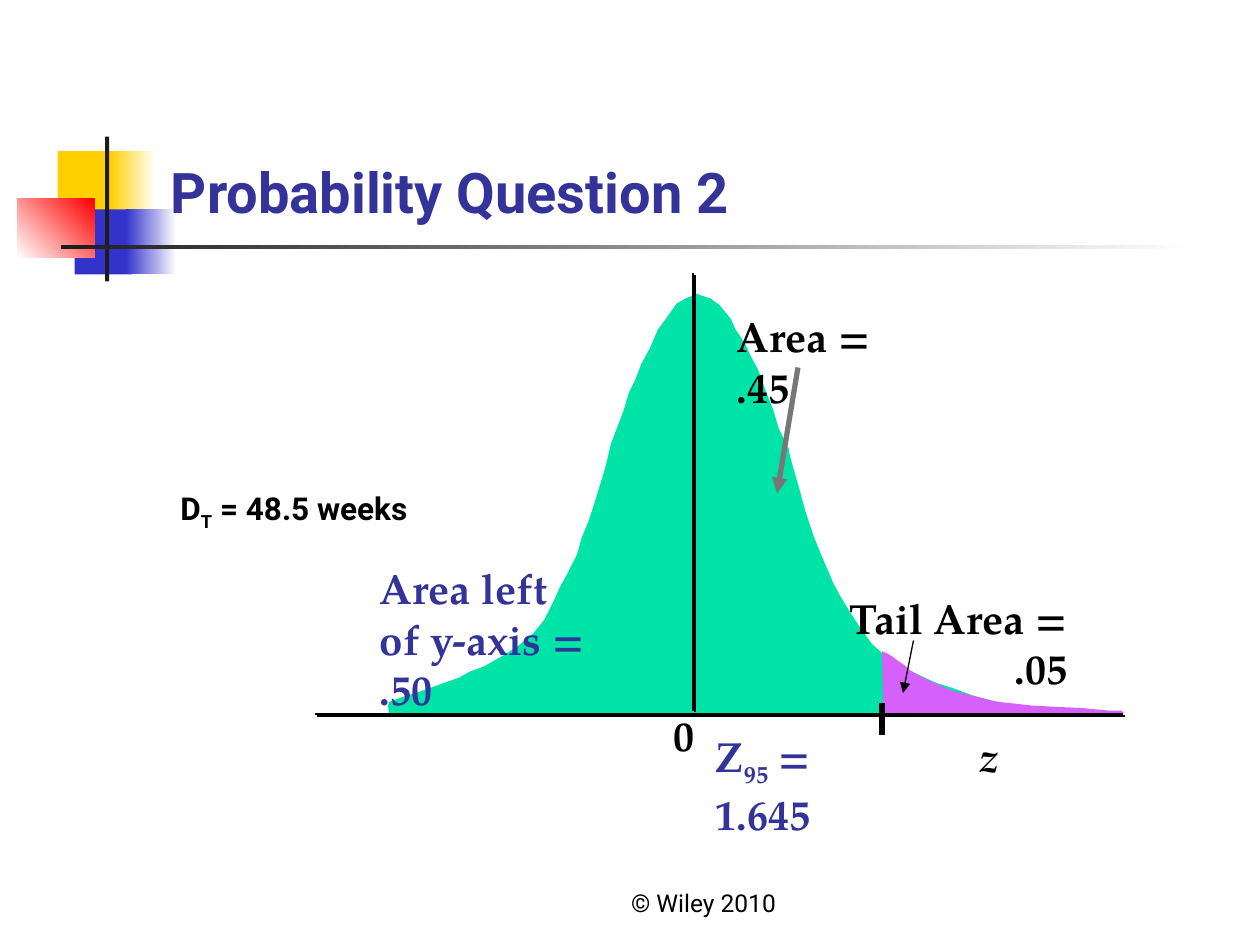
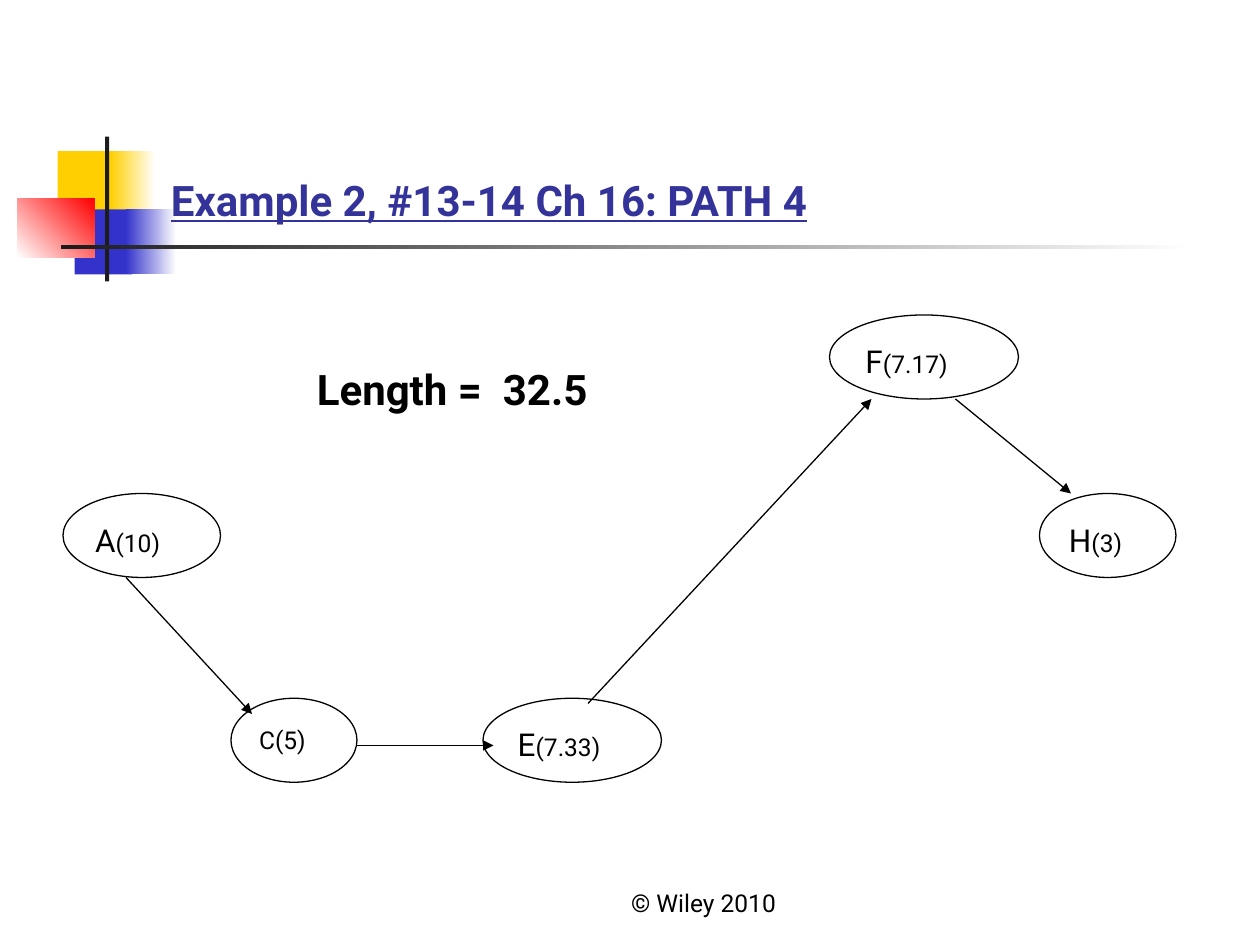
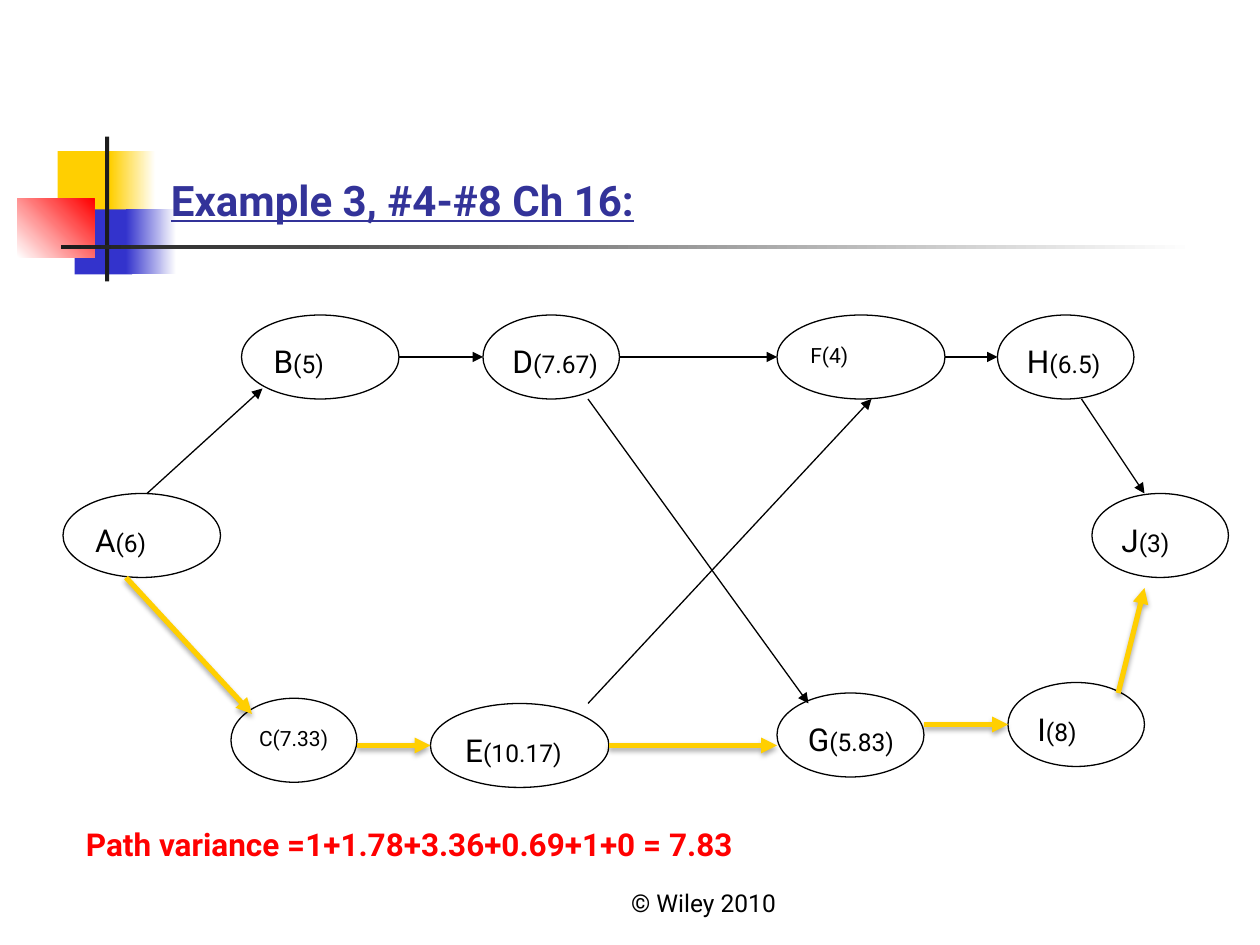
"""Build three slides on project path probabilities and task networks."""
from lxml.etree import SubElement
from pptx import Presentation
from pptx.dml.color import RGBColor
from pptx.enum.shapes import MSO_CONNECTOR, MSO_SHAPE
from pptx.enum.text import MSO_ANCHOR, PP_ALIGN
from pptx.oxml.ns import qn
from pptx.util import Inches, Pt

COLORS = {"yellow": "FFCF01", "blue": "3333CC", "red": "FF0000", "white": "FFFFFF",
          "dark": "1C1C1C", "black": "000000", "title": "333399", "gray": "777777",
          "body": "00E4A8", "tail": "D560FA"}
SANS, SERIF = "Roboto", "TeX Gyre Pagella"
COLUMNS, ROWS = 120, 90
CELL = Inches(10) / COLUMNS
NODE_ROWS = 8
OUTLINE_SCALE = Inches(1) / 100
SUBSCRIPT = {"baseline": -25000}
AXIS_SHADOW = {"blur": 0, "dist": 1.4, "angle": 45, "alpha": 100}
PATH_SHADOW = {"blur": 3.1, "dist": 1.8, "angle": 90, "alpha": 35}

BODY_OUTLINE = [
    (554, 233), (544, 237), (537, 241), (530, 251), (522, 262), (516, 276), (509, 289),
    (504, 302), (499, 312), (495, 326), (490, 339), (485, 352), (482, 365), (479, 376),
    (475, 389), (471, 402), (467, 414), (462, 426), (458, 440), (451, 454), (445, 465),
    (439, 478), (432, 492), (423, 503), (412, 512), (400, 520), (384, 529), (373, 533),
    (364, 538), (347, 544), (333, 549), (320, 553), (309, 557), (308, 560), (309, 568),
    (802, 568), (801, 559), (787, 556), (772, 552), (756, 546), (743, 542), (730, 536),
    (716, 529), (709, 523), (702, 520), (692, 511), (684, 500), (676, 488), (668, 475),
    (662, 464), (655, 448), (650, 436), (646, 426), (643, 417), (639, 405), (635, 390),
    (631, 376), (627, 362), (626, 356), (618, 340), (614, 326), (608, 311), (604, 299),
    (601, 292), (595, 281), (592, 274), (587, 266), (584, 262), (580, 253), (571, 242),
    (564, 237), (555, 234)]
TAIL_OUTLINE = [
    (700, 517), (703, 518), (708, 521), (712, 524), (718, 528), (722, 532), (729, 536),
    (737, 540), (746, 544), (755, 548), (767, 551), (779, 554), (791, 557), (801, 558),
    (819, 560), (837, 561), (859, 562), (880, 564), (890, 564), (892, 566), (701, 567)]


def rgb(name):
    """Return the named palette colour."""
    return RGBColor.from_string(COLORS[name])


def grid(*cells):
    """Convert grid columns or rows to slide lengths."""
    return [round(cell * CELL) for cell in cells]


def add_text(slide, area, runs, size=18, color="black", font=SANS, bold=False,
             italic=False, underline=False, align=PP_ALIGN.LEFT, anchor=MSO_ANCHOR.TOP):
    """Add a wrapped text box whose runs are (text, overrides) pairs."""
    frame = slide.shapes.add_textbox(*grid(*area)).text_frame
    frame.word_wrap = True
    frame.vertical_anchor = anchor
    paragraph = frame.paragraphs[0]
    paragraph.alignment = align
    for words, overrides in runs:
        run = paragraph.add_run()
        run.text = words
        run.font.name = font
        run.font.size = Pt(overrides.get("size", size))
        run.font.bold = bold
        run.font.italic = italic
        run.font.underline = underline
        run.font.color.rgb = rgb(color)
        if "baseline" in overrides:
            run.font._element.set("baseline", str(overrides["baseline"]))


def add_block(slide, area, color, fade_to=None, angle=0):
    """Add a borderless rectangle, plain or fading into a second colour."""
    block = slide.shapes.add_shape(MSO_SHAPE.RECTANGLE, *grid(*area))
    block.shadow.inherit = False
    block.line.fill.background()
    if fade_to is None:
        block.fill.solid()
        block.fill.fore_color.rgb = rgb(color)
        return
    block.fill.gradient()
    block.fill.gradient_angle = angle
    for stop, name in zip(block.fill.gradient_stops, (color, fade_to)):
        stop.color.rgb = rgb(name)


def add_line(slide, start, end, color="black", width=0.75, arrow=True, shadow=None):
    """Add a straight line with an optional arrowhead and shadow."""
    line = slide.shapes.add_connector(MSO_CONNECTOR.STRAIGHT, *grid(*start, *end))
    line.line.color.rgb = rgb(color)
    line.line.width = Pt(width)
    if arrow:
        SubElement(line.line._get_or_add_ln(), qn("a:tailEnd"), type="triangle")
    effects = SubElement(line._element.spPr, qn("a:effectLst"))
    if shadow:
        outer = SubElement(effects, qn("a:outerShdw"), blurRad=str(Pt(shadow["blur"])),
                           dist=str(Pt(shadow["dist"])), dir=str(shadow["angle"] * 60000),
                           algn="ctr", rotWithShape="0")
        tint = SubElement(outer, qn("a:srgbClr"), val=COLORS["black"])
        SubElement(tint, qn("a:alpha"), val=str(shadow["alpha"] * 1000))


def add_critical(slide, start, end):
    """Add a highlighted arrow of the critical path."""
    add_line(slide, start, end, "yellow", 3, shadow=PATH_SHADOW)


def add_area(slide, outline, color):
    """Add a filled area under the curve."""
    builder = slide.shapes.build_freeform(*outline[0], scale=OUTLINE_SCALE)
    builder.add_line_segments(outline[1:], close=True)
    area = builder.convert_to_shape()
    area.shadow.inherit = False
    area.fill.solid()
    area.fill.fore_color.rgb = rgb(color)
    area.line.fill.background()


def add_node(slide, column, row, columns, label, size=None, share=0.63):
    """Add a task ellipse with its letter and duration."""
    ellipse = slide.shapes.add_shape(MSO_SHAPE.OVAL, *grid(column, row, columns, NODE_ROWS))
    ellipse.shadow.inherit = False
    ellipse.fill.background()
    ellipse.line.color.rgb = rgb("black")
    ellipse.line.width = Pt(0.75)
    runs = [(label, {"size": size})] if size else [(label[0], {}), (label[1:], {"size": 14})]
    add_text(slide, (column + columns / 8, row + 2, columns * share, 4.8), runs)


def add_base_slide(deck, title, size, underline=False):
    """Add a blank slide with the shared blocks, footer and title."""
    slide = deck.slides.add_slide(deck.slide_layouts[6])
    add_block(slide, (5.5, 14.4, 5.8, 6.2), "yellow")
    add_block(slide, (10.5, 14.4, 4.3, 6.2), "yellow", "white")
    add_block(slide, (7.1, 19.95, 5.5, 6.2), "blue")
    add_block(slide, (12, 19.95, 4.8, 6.2), "blue", "white")
    add_block(slide, (1.65, 18.95, 7.35, 5.55), "white", "red", 45)
    add_block(slide, (10, 13, 0.4, 13.8), "dark")
    add_block(slide, (5.8, 23.35, 108, 0.4), "dark", "white")
    add_text(slide, (48, 82, 38, 6), [("© Wiley 2010", {})], 14,
             align=PP_ALIGN.CENTER, anchor=MSO_ANCHOR.BOTTOM)
    add_text(slide, (15.1, 2.8, 102.2, 19.2), [(title, {})], size, "title", bold=True,
             underline=underline, anchor=MSO_ANCHOR.BOTTOM)
    return slide


def add_curve_label(slide, area, runs, color="black", **style):
    """Add a bold serif label to the curve."""
    add_text(slide, area, runs, 24, color, SERIF, True, **style)


def build_probability(deck):
    """Build the normal curve slide."""
    slide = add_base_slide(deck, "Probability Question 2", 32)
    add_area(slide, BODY_OUTLINE, "body")
    add_area(slide, TAIL_OUTLINE, "tail")
    for start, end in (((30, 68), (107, 68)), ((66, 26), (66, 67.7))):
        add_line(slide, start, end, width=1, arrow=False, shadow=AXIS_SHADOW)
    add_curve_label(slide, (67, 69, 20, 11),
                    [("Z", {}), ("95", SUBSCRIPT), (" = 1.645", {})], "title")
    add_curve_label(slide, (92, 69, 4.3, 6), [("z", {})], italic=True)
    add_curve_label(slide, (63, 67, 4.3, 6), [("0", {})])
    add_curve_label(slide, (75.8, 55.8, 27, 10.8), [("Tail Area = .05", {})],
                    align=PP_ALIGN.RIGHT)
    add_curve_label(slide, (69, 29, 19, 10.8), [("Area = .45", {})])
    add_line(slide, (76, 35), (74, 47), "gray", 3)
    add_line(slide, (87, 61), (86, 66))
    add_curve_label(slide, (35, 53, 22, 15.6), [("Area left of y-axis = .50", {})], "title")
    add_line(slide, (84, 67), (84, 70), width=3, arrow=False)
    add_text(slide, (16, 46, 35, 4.8),
             [("D", {}), ("T", SUBSCRIPT), (" = 48.5 weeks", {})], bold=True)


def build_path_four(deck):
    """Build the single path slide."""
    slide = add_base_slide(deck, "Example 2, #13-14 Ch 16: PATH 4", 24, True)
    add_node(slide, 6, 47, 15, "A(10)")
    add_node(slide, 79, 30, 18, "F(7.17)")
    add_node(slide, 22, 66.5, 12, "C(5)", 14)
    add_node(slide, 46, 66.5, 17, "E(7.33)")
    add_node(slide, 99, 47, 13, "H(3)")
    for start, end in (((12, 55), (24, 68)), ((34, 71), (47, 71)),
                       ((91, 38), (102, 47)), ((56, 67), (83, 38))):
        add_line(slide, start, end)
    add_text(slide, (29, 34, 37, 6), [("Length =  32.5", {})], 24, bold=True)


def build_network(deck):
    """Build the whole network slide with its critical path."""
    slide = add_base_slide(deck, "Example 3, #4-#8 Ch 16:", 24, True)
    add_node(slide, 6, 47, 15, "A(6)")
    add_node(slide, 23, 30, 15, "B(5)")
    add_node(slide, 46, 30, 13, "D(7.67)", share=0.88)
    add_node(slide, 74, 30, 16, "F(4)", 12)
    add_node(slide, 22, 66.5, 12, "C(7.33)", 12, 0.8)
    add_node(slide, 41, 67, 17, "E(10.17)", share=0.75)
    add_node(slide, 74, 66, 14, "G(5.83)", share=0.8)
    add_node(slide, 95, 30, 13, "H(6.5)", share=0.88)
    add_node(slide, 96, 65, 13, "I(8)")
    add_node(slide, 104, 47, 13, "J(3)")
    for start, end in (((14, 47), (25, 37)), ((38, 34), (46, 34)), ((59, 34), (74, 34)),
                       ((90, 34), (95, 34)), ((56, 38), (77, 67)), ((56, 67), (83, 38)),
                       ((103, 38), (109, 47))):
        add_line(slide, start, end)
    for start, end in (((12, 55), (24, 68)), ((34, 71), (41, 71)), ((58, 71), (74, 71)),
                       ((88, 69), (96, 69)), ((106.5, 66), (109, 56))):
        add_critical(slide, start, end)
    add_text(slide, (7, 78, 81, 4.8),
             [("Path variance =1+1.78+3.36+0.69+1+0 = 7.83", {})], color="red", bold=True)


def main():
    """Build and save the deck."""
    deck = Presentation()
    deck.slide_width, deck.slide_height = grid(COLUMNS, ROWS)
    build_probability(deck)
    build_path_four(deck)
    build_network(deck)
    deck.save("out.pptx")


if __name__ == "__main__":
    main()
